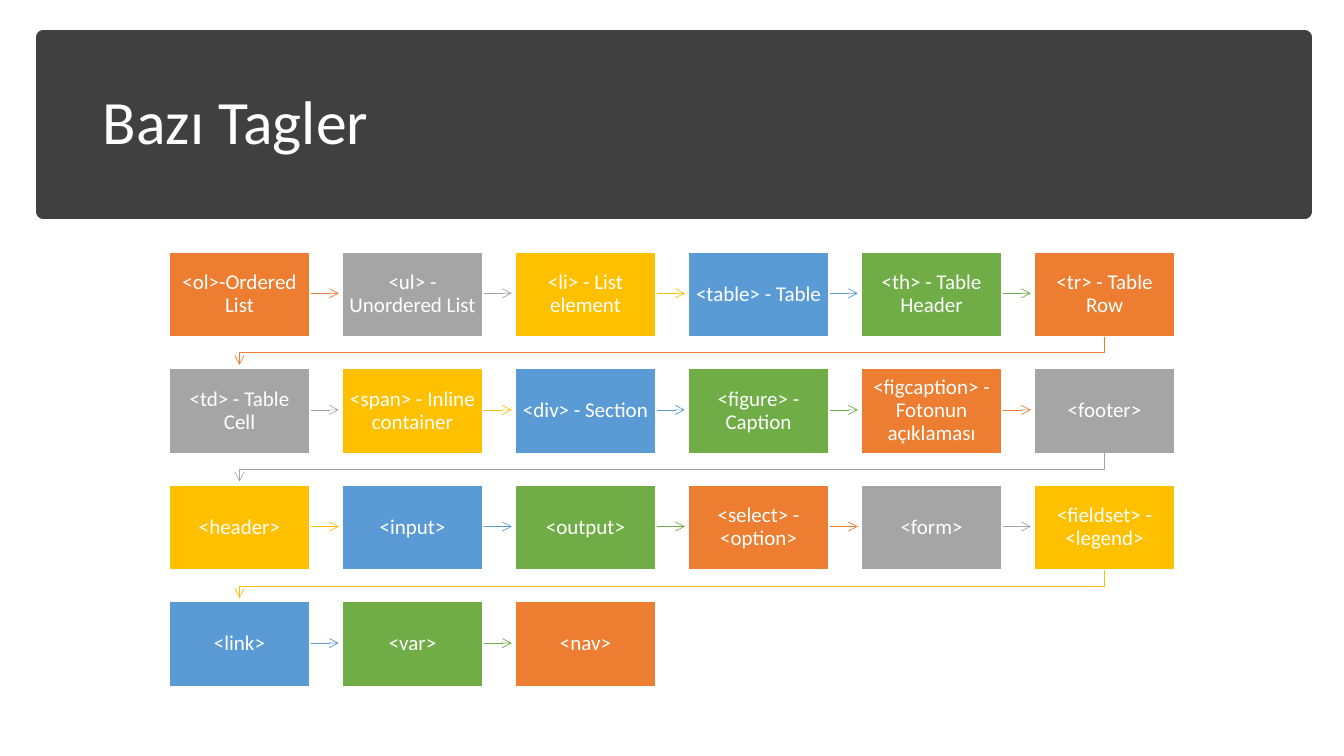
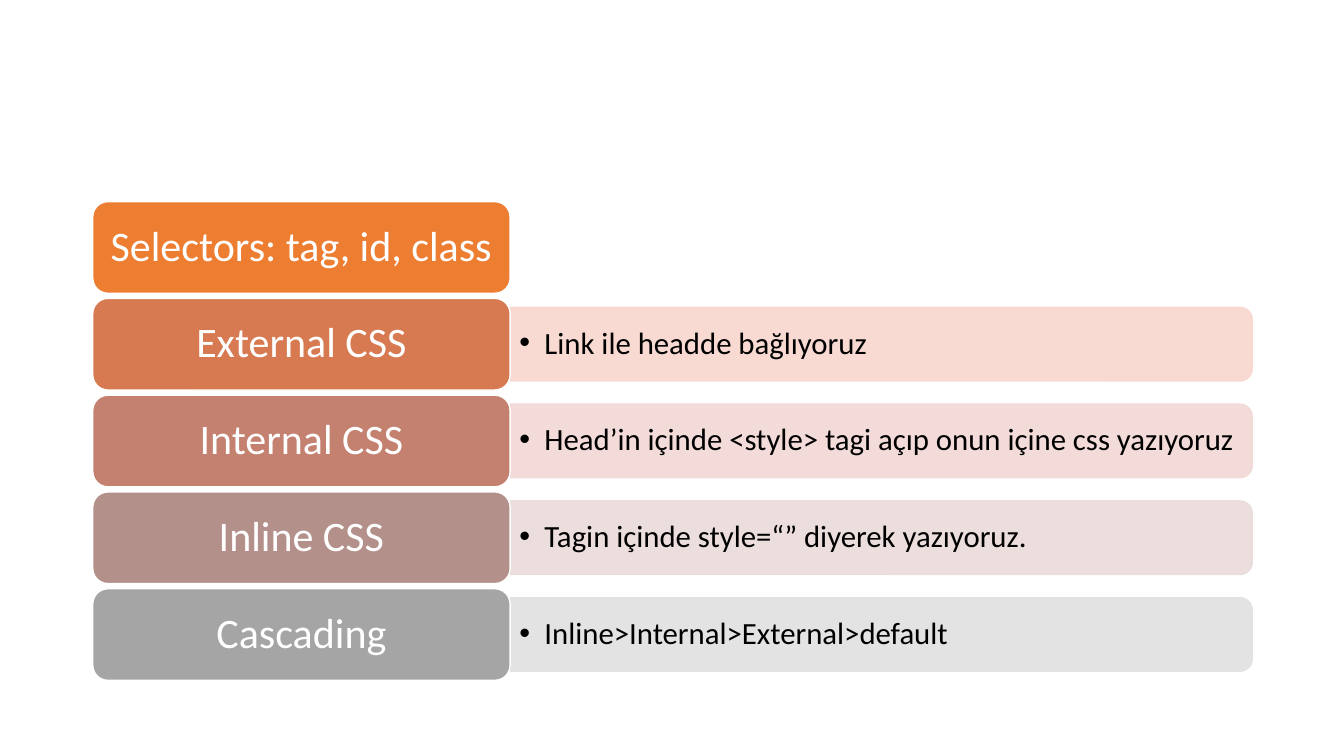
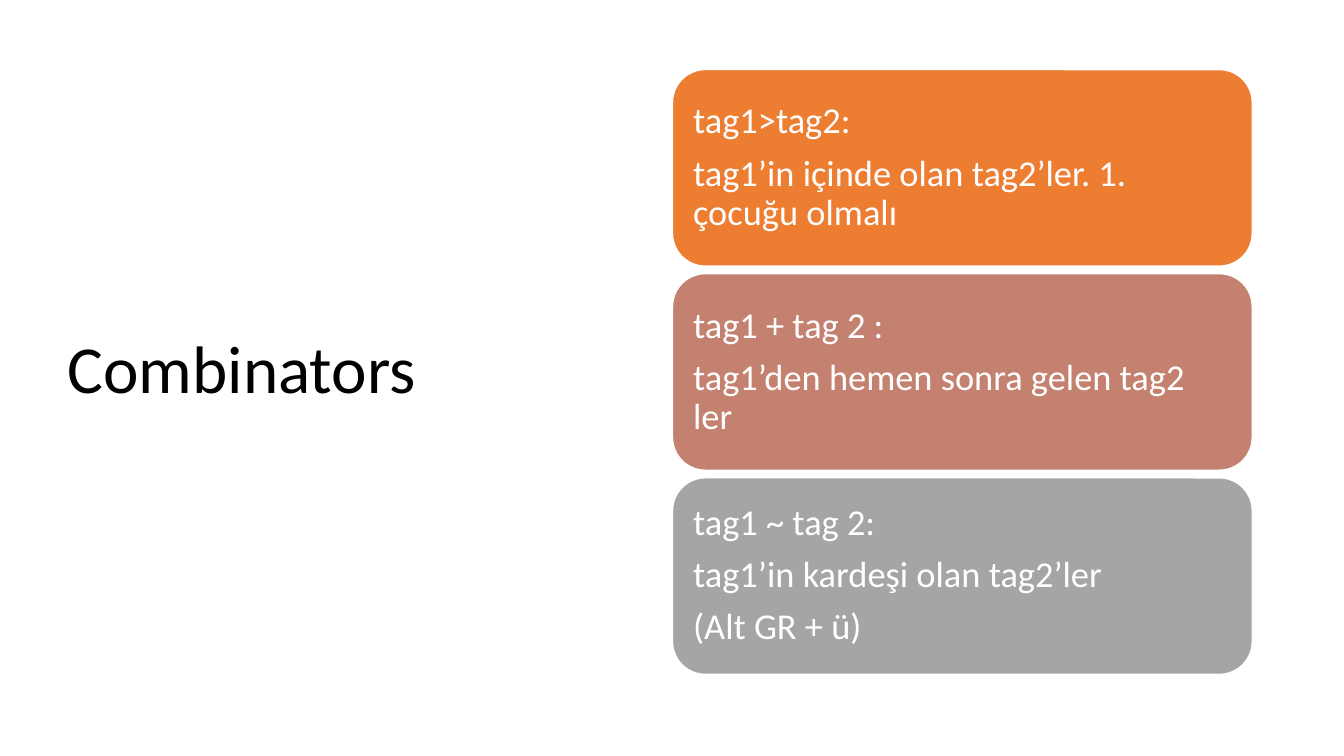
from lxml import etree
from pptx import Presentation
from pptx.dml.color import RGBColor
from pptx.enum import shapes, text
from pptx.oxml.ns import qn
from pptx.util import Inches, Pt

# Shared look
FONT = "Calibri"
LINE_SPACING = 0.9
COLORS = {
    "white": "FFFFFF", "black": "000000", "band": "404040",
    "orange": "ED7D31", "gray": "A5A5A5", "yellow": "FFC000",
    "blue": "5B9BD5", "green": "70AD47",
    "rust": "D87A51", "clay": "C48170", "taupe": "B4908B",
    "peach": "F8D7CE", "rose": "F1D8D4", "mauve": "E9DBDA", "mist": "E1E1E1",
}
CYCLE = ["orange", "gray", "yellow", "blue", "green"]
TITLE_ONLY, BLANK = 5, 6

TAG_COLUMNS = 6
TAGS = [
    "<ol>-Ordered List", "<ul> - Unordered List", "<li> - List element",
    "<table> - Table", "<th> - Table Header", "<tr> - Table Row",
    "<td> - Table Cell", "<span> - Inline container", "<div> - Section",
    "<figure> - Caption", "<figcaption> - Fotonun açıklaması", "<footer>",
    "<header>", "<input>", "<output>", "<select> - <option>", "<form>",
    "<fieldset> - <legend>", "<link>", "<var>", "<nav>",
]
# Label, label colour, detail, detail colour
CSS_ROWS = [
    ("Selectors: tag, id, class", "orange", None, None),
    ("External CSS", "rust", "Link ile headde bağlıyoruz", "peach"),
    ("Internal CSS", "clay",
     "Head’in içinde <style> tagi açıp onun içine css yazıyoruz", "rose"),
    ("Inline CSS", "taupe", "Tagin içinde style=“” diyerek yazıyoruz.", "mauve"),
    ("Cascading", "gray", "Inline>Internal>External>default", "mist"),
]
COMBINATORS = [
    ("orange", ["tag1>tag2:", "tag1’in içinde olan tag2’ler. 1. çocuğu olmalı"]),
    ("clay", ["tag1 + tag 2 :", "tag1’den hemen sonra gelen tag2 ler"]),
    ("gray", ["tag1 ~ tag 2:", "tag1’in kardeşi olan tag2’ler", "(Alt GR + ü)"]),
]


def rgb(name):
    return RGBColor.from_string(COLORS[name])


def write_text(shape, lines, size, color="white", align="LEFT",
               insets=(0.1, 0.05), space_after=0, bullet=False):
    """Fill a shape with paragraphs; space_after is a share of the text size."""
    frame = shape.text_frame
    frame.word_wrap = True
    frame.auto_size = text.MSO_AUTO_SIZE.NONE
    frame.vertical_anchor = text.MSO_ANCHOR.MIDDLE
    frame.margin_left = frame.margin_right = Inches(insets[0])
    frame.margin_top = frame.margin_bottom = Inches(insets[1])
    for index, line in enumerate(lines):
        para = frame.add_paragraph() if index else frame.paragraphs[0]
        para.alignment = getattr(text.PP_ALIGN, align)
        para.line_spacing = LINE_SPACING
        para.space_after = Pt(size * space_after)
        span = para.add_run()
        span.text = line
        span.font.name = FONT
        span.font.size = Pt(size)
        span.font.color.rgb = rgb(color)
        if bullet:
            props = para._p.get_or_add_pPr()
            props.set("marL", str(Inches(0.25)))
            props.set("indent", str(Inches(-0.25)))
            etree.SubElement(props, qn("a:buFont")).set("typeface", "Arial")
            etree.SubElement(props, qn("a:buChar")).set("char", "•")


def add_box(page, kind, left, top, width, height, fill, line="white", weight=1):
    box = page.shapes.add_shape(getattr(shapes.MSO_SHAPE, kind), Inches(left),
                                Inches(top), Inches(width), Inches(height))
    box.shadow.inherit = False
    box.fill.solid()
    box.fill.fore_color.rgb = rgb(fill)
    box.line.color.rgb = rgb(line)
    box.line.width = Pt(weight)
    return box


def add_arrow(page, points, color):
    """Draw a straight connector, or an open outline when there are bends."""
    points = [(Inches(x), Inches(y)) for x, y in points]
    if len(points) == 2:
        arrow = page.shapes.add_connector(
            shapes.MSO_CONNECTOR.STRAIGHT, *points[0], *points[1])
    else:
        builder = page.shapes.build_freeform(*points[0])
        builder.add_line_segments(points[1:], close=False)
        arrow = builder.convert_to_shape()
        arrow.fill.background()
    arrow.line.color.rgb = rgb(color)
    arrow.line.width = Pt(0.5)
    props = arrow.element.spPr
    etree.SubElement(props.find(qn("a:ln")), qn("a:tailEnd")).set("type", "arrow")
    etree.SubElement(props, qn("a:effectLst"))


def set_title(page, words, left, top, width, height, size, color):
    title = page.shapes.title
    title.left, title.top = Inches(left), Inches(top)
    title.width, title.height = Inches(width), Inches(height)
    write_text(title, [words], size, color)


def add_band(page, left, top, width, height):
    band = add_box(page, "RECTANGLE", left, top, width, height, "band", "band", 10)
    page.shapes.element.insert(2, band.element)  # behind the title


def add_tag_flow(page, left, top, width, height):
    """Boxes in reading order, each joined to the next by an arrow."""
    box_w, box_h = 1.39, 0.84
    rows = -(-len(TAGS) // TAG_COLUMNS)
    step_x = (width - box_w) / (TAG_COLUMNS - 1)
    step_y = (height - box_h) / (rows - 1)
    for index, tag in enumerate(TAGS):
        row, column = divmod(index, TAG_COLUMNS)
        x, y = left + column * step_x, top + row * step_y
        color = CYCLE[index % len(CYCLE)]
        box = add_box(page, "RECTANGLE", x, y, box_w, box_h, color)
        write_text(box, [tag], 15, align="CENTER", insets=(0.07, 0.07),
                   space_after=0.35)
        if index == len(TAGS) - 1:
            continue
        if column < TAG_COLUMNS - 1:
            middle, right = y + box_h / 2 - 0.01, x + box_w
            points = [(right + 0.01, middle), (right + 0.29, middle)]
        else:
            start, end, bottom = x + box_w / 2, left + box_w / 2, y + box_h
            points = [(start, bottom), (start, bottom + 0.16),
                      (end, bottom + 0.16), (end, bottom + 0.28)]
        add_arrow(page, points, color)


def add_detail_bar(page, words, color, left, top, width, height):
    # The preset is rounded at its top, so it is turned to round the right end
    bar = add_box(page, "ROUND_2_SAME_RECTANGLE", left + (width - height) / 2,
                  top - (width - height) / 2, height, width, color, color)
    bar.rotation = 90
    for tint in bar.element.spPr.iter(qn("a:srgbClr")):
        etree.SubElement(tint, qn("a:alpha")).set("val", "90000")
    label = page.shapes.add_textbox(Inches(left), Inches(top),
                                    Inches(width - 0.04), Inches(height))
    write_text(label, [words], 22, "black", insets=(0.09, 0.05),
               space_after=0.15, bullet=True)


def add_css_rows(page, left, top, width, height):
    label_w, label_h, bar_h = 4.14, 0.91, 0.73
    step = (height - label_h) / (len(CSS_ROWS) - 1)
    for index, (label, color, detail, tint) in enumerate(CSS_ROWS):
        y = top + index * step
        if detail:
            add_detail_bar(page, detail, tint, left + label_w,
                           y + (label_h - bar_h) / 2, width - label_w, bar_h)
        box = add_box(page, "ROUNDED_RECTANGLE", left, y, label_w, label_h, color)
        write_text(box, [label], 30, align="CENTER", insets=(0.12, 0.06),
                   space_after=0.35)


def add_cards(page, left, top, width, height):
    card_h = 1.95
    step = (height - card_h) / (len(COMBINATORS) - 1)
    for index, (color, lines) in enumerate(COMBINATORS):
        card = add_box(page, "ROUNDED_RECTANGLE", left, top + index * step,
                       width, card_h, color)
        write_text(card, lines, 26, insets=(0.11, 0.11), space_after=0.35)


def main():
    deck = Presentation()
    deck.slide_width, deck.slide_height = Inches(13.33), Inches(7.5)

    # Tags
    page = deck.slides.add_slide(deck.slide_layouts[TITLE_ONLY])
    add_band(page, 0.43, 0.37, 12.51, 1.73)
    set_title(page, "Bazı Tagler", 0.92, 0.51, 11.5, 1.45, 44, "white")
    add_tag_flow(page, 1.68, 2.5, 9.97, 4.31)

    # Kinds of CSS
    page = deck.slides.add_slide(deck.slide_layouts[BLANK])
    add_css_rows(page, 0.92, 2, 11.5, 4.75)

    # Combinators
    page = deck.slides.add_slide(deck.slide_layouts[TITLE_ONLY])
    set_title(page, "Combinators", 0.57, 0.68, 5.67, 6.02, 48, "black")
    add_cards(page, 6.67, 0.69, 5.75, 6)

    deck.save("out.pptx")


if __name__ == "__main__":
    main()
